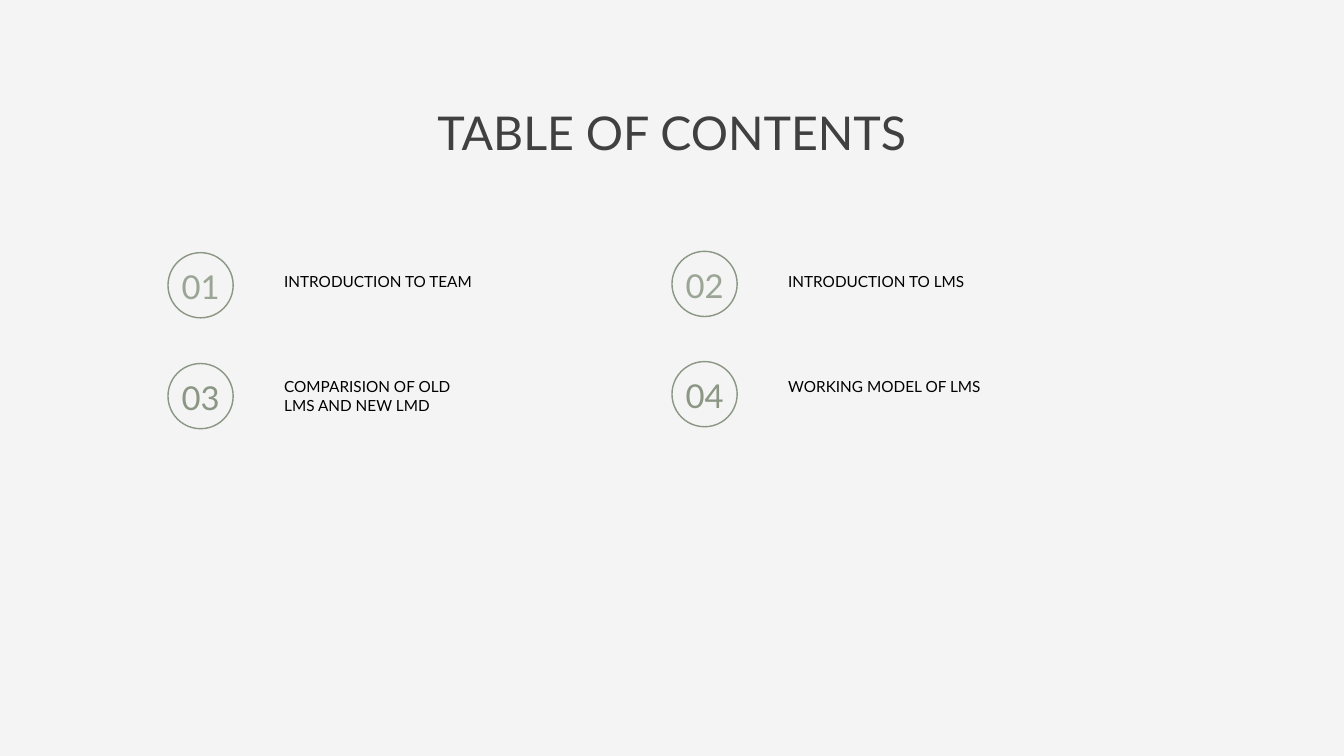
from lxml import etree
from pptx import Presentation
from pptx.dml.color import RGBColor
from pptx.enum import shapes, text
from pptx.oxml.ns import qn
from pptx.util import Pt

BACKGROUND = RGBColor(0xF4, 0xF4, 0xF4)
DARK = RGBColor(0x40, 0x40, 0x40)
BLACK = RGBColor(0, 0, 0)
SAGE = RGBColor(0x8B, 0x96, 0x84)

CENTER, LEFT = text.PP_ALIGN.CENTER, text.PP_ALIGN.LEFT
FRAME = dict(margin_left=0, margin_right=0, margin_top=0, margin_bottom=0,
             word_wrap=True, vertical_anchor=text.MSO_ANCHOR.TOP,
             auto_size=text.MSO_AUTO_SIZE.NONE)

COLUMN_GAP = 540
LABEL_LEFT = 124.5
BADGE = 69.84

# Each row: label top, badge tops, number opacity in percent, entries
ROWS = [
    (290.9, (270.7, 269.3), 83,
     [("01", "INTRODUCTION TO TEAM"), ("02", "INTRODUCTION TO LMS")]),
    (403.9, (389.5, 387.4), 100,
     [("03", "COMPARISION OF OLD LMS AND NEW LMD"),
      ("04", "WORKING MODEL OF LMS")]),
]


def set_all(obj, values):
    for name, value in values.items():
        setattr(obj, name, value)


def write(sp, words, size, spacing, color, align, opacity=100):
    tf = sp.text_frame
    set_all(tf, FRAME)
    p = tf.paragraphs[0]
    set_all(p, dict(alignment=align, line_spacing=Pt(spacing),
                    space_before=Pt(0)))
    r = p.add_run()
    r.text = words
    set_all(r.font, dict(name="Lato", size=Pt(size)))
    r.font.color.rgb = color
    if opacity < 100:
        clr = r.font.fill._xPr.find(qn("a:solidFill"))[0]
        etree.SubElement(clr, qn("a:alpha")).set("val", str(opacity * 1000))


def add_title(s, left, top, width, height):
    sp = s.shapes.title
    set_all(sp, dict(left=Pt(left), top=Pt(top),
                     width=Pt(width), height=Pt(height)))
    write(sp, "TABLE OF CONTENTS", 49.9, 60.9, DARK, CENTER)


def add_badge(s, left, top, size, number, opacity):
    group = s.shapes.add_group_shape()
    # Ring
    ring = group.shapes.add_shape(shapes.MSO_SHAPE.OVAL, Pt(left), Pt(top),
                                  Pt(size), Pt(size))
    ring.shadow.inherit = False
    ring.fill.background()
    ring.line.color.rgb = SAGE
    ring.line.width = Pt(1.5)
    # Number
    box = group.shapes.add_textbox(Pt(left), Pt(top + 7.7), Pt(size), Pt(48.2))
    write(box, number, 35.2, 49.4, SAGE, CENTER, opacity)


def add_label(s, left, top, width, height, words):
    box = s.shapes.add_textbox(Pt(left), Pt(top), Pt(width), Pt(height))
    write(box, words, 16.4, 20.1, BLACK, LEFT)


def add_contents(s, left):
    for label_top, badge_tops, opacity, entries in ROWS:
        for col, (number, words) in enumerate(entries):
            x = left + col * COLUMN_GAP
            add_badge(s, x, badge_tops[col], BADGE, number, opacity)
            add_label(s, x + LABEL_LEFT, label_top, 213, 41, words)


def main():
    prs = Presentation()
    prs.slide_width, prs.slide_height = Pt(1440), Pt(810)
    s = prs.slides.add_slide(prs.slide_layouts[5])
    s.background.fill.solid()
    s.background.fill.fore_color.rgb = BACKGROUND
    add_title(s, 396.7, 110.2, 646.6, 61.2)
    add_contents(s, 180)
    prs.save("out.pptx")


if __name__ == "__main__":
    main()
